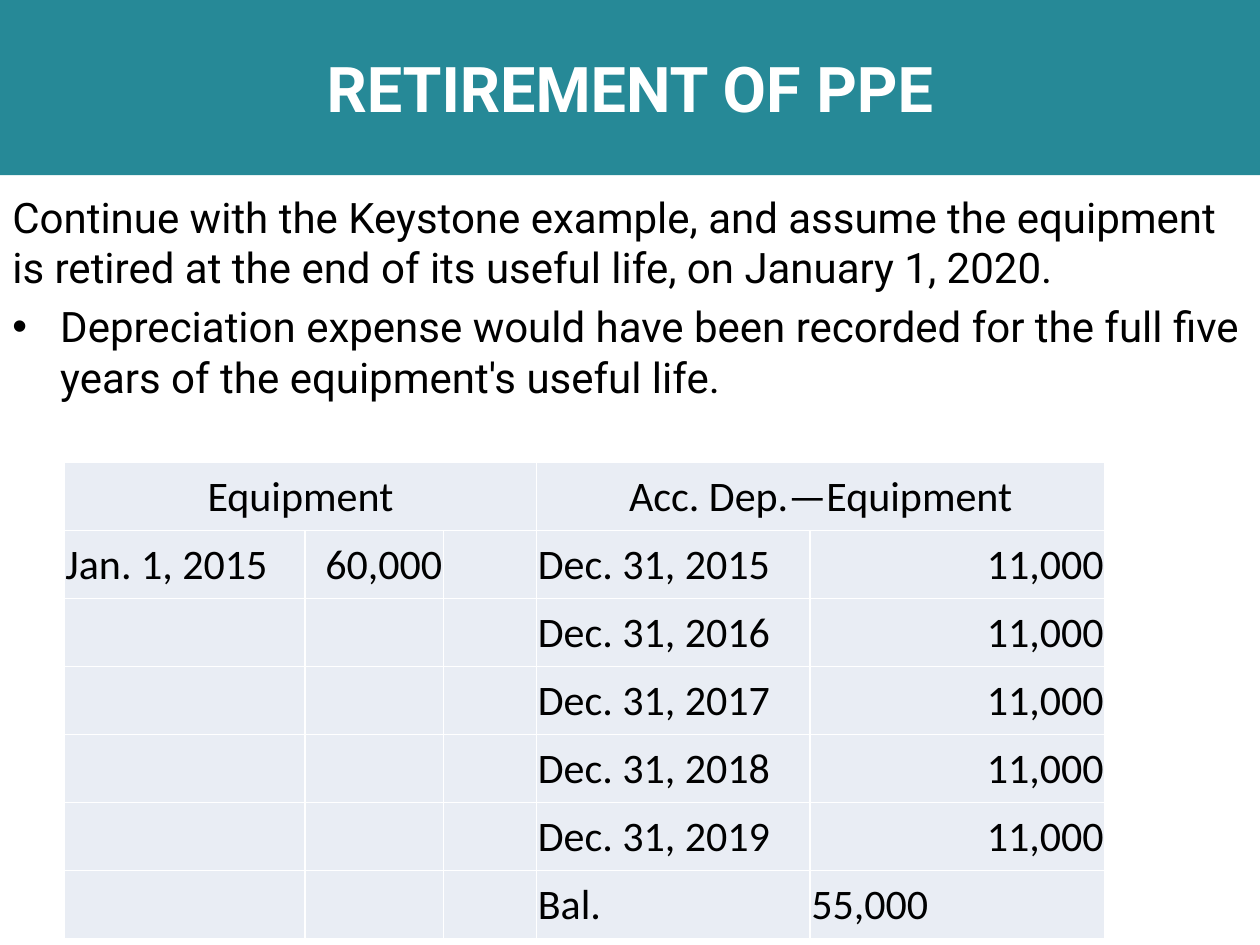
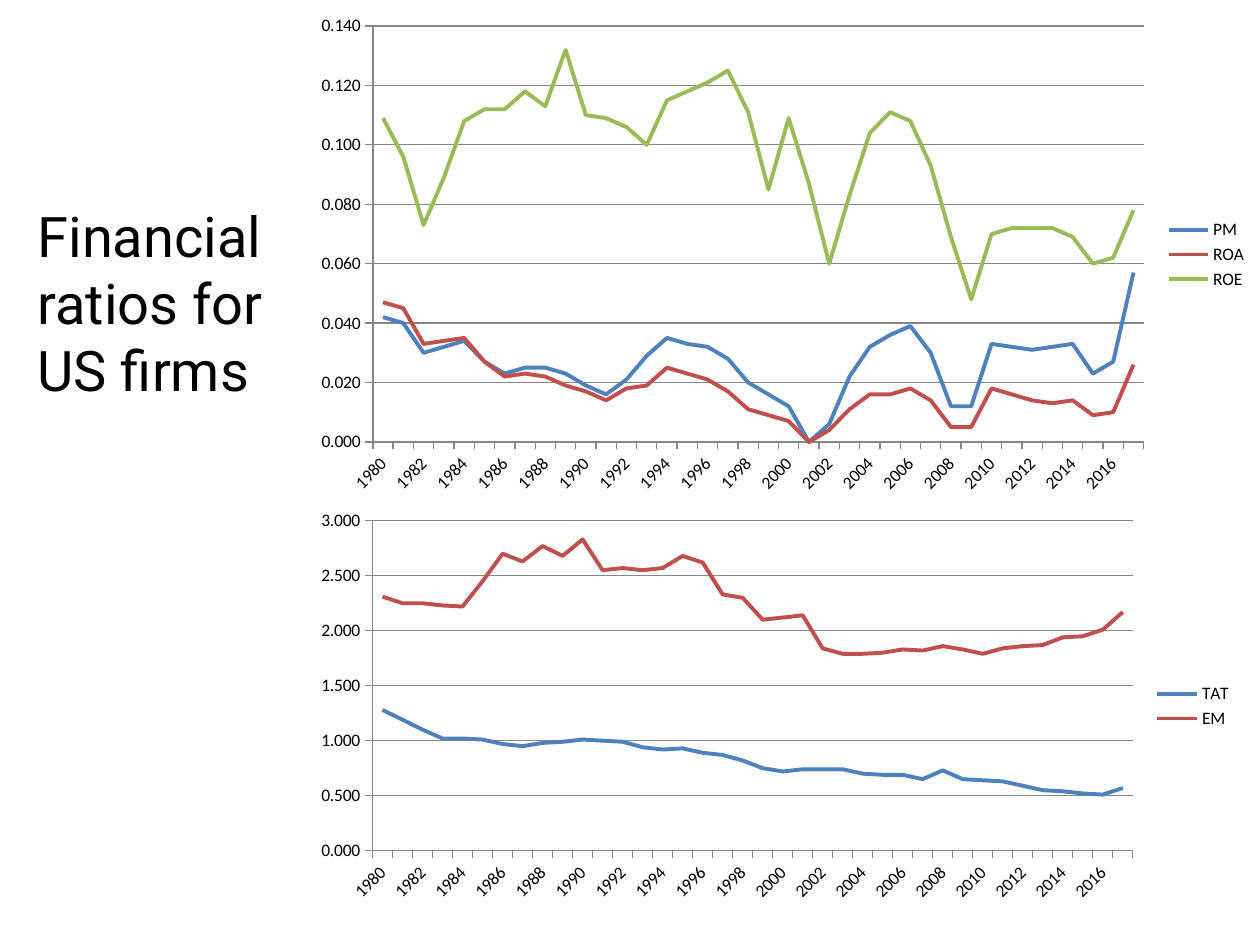
from dataclasses import dataclass
from lxml import etree
from pptx import Presentation
from pptx import util as u
from pptx.chart.data import CategoryChartData
from pptx.dml.color import RGBColor
from pptx.enum import chart as ch, shapes, text
from pptx.oxml.ns import qn


@dataclass(frozen=True)
class Theme:
    band: str = "268997"
    ink: str = "000000"
    paper: str = "FFFFFF"
    cell: str = "E9EDF4"
    axis: str = "868686"
    series: tuple = ("4F81BD", "C0504D", "9BBB59")
    head_font: str = "Roboto"
    data_font: str = "Calibri"
    title: int = 36
    caption: int = 32
    body: int = 24
    label: int = 10


T = Theme()
ALIGN = {"l": text.PP_ALIGN.LEFT, "c": text.PP_ALIGN.CENTER, "r": text.PP_ALIGN.RIGHT}
YEARS = [str(y) for y in range(1980, 2018)]

PROFIT = {
    "PM": [.042, .04, .03, .032, .034, .027, .023, .025, .025, .023, .019, .016, .021,
           .029, .035, .033, .032, .028, .02, .016, .012, 0, .006, .022, .032, .036,
           .039, .03, .012, .012, .033, .032, .031, .032, .033, .023, .027, .057],
    "ROA": [.047, .045, .033, .034, .035, .027, .022, .023, .022, .019, .017, .014, .018,
            .019, .025, .023, .021, .017, .011, .009, .007, 0, .004, .011, .016, .016,
            .018, .014, .005, .005, .018, .016, .014, .013, .014, .009, .01, .026],
    "ROE": [.109, .096, .073, .089, .108, .112, .112, .118, .113, .132, .11, .109, .106,
            .1, .115, .118, .121, .125, .111, .085, .109, .087, .06, .083, .104, .111,
            .108, .093, .069, .048, .07, .072, .072, .072, .069, .06, .062, .078],
}
LEVERAGE = {
    "TAT": [1.28, 1.19, 1.1, 1.02, 1.02, 1.01, .97, .95, .98, .99, 1.01, 1, .99,
            .94, .92, .93, .89, .87, .82, .75, .72, .74, .74, .74, .7, .69,
            .69, .65, .73, .65, .64, .63, .59, .55, .54, .52, .51, .57],
    "EM": [2.31, 2.25, 2.25, 2.23, 2.22, 2.45, 2.7, 2.63, 2.77, 2.68, 2.83, 2.55, 2.57,
           2.55, 2.57, 2.68, 2.62, 2.33, 2.3, 2.1, 2.12, 2.14, 1.84, 1.79, 1.79, 1.8,
           1.83, 1.82, 1.86, 1.83, 1.79, 1.84, 1.86, 1.87, 1.94, 1.95, 2.01, 2.17],
}


def inches(box):
    return [u.Inches(v) for v in box]


def set_font(font, size, name, color=T.ink, bold=False):
    for key, value in {"size": u.Pt(size), "name": name, "bold": bold}.items():
        setattr(font, key, value)
    font.color.rgb = RGBColor.from_string(color)


def paint(fill, color):
    fill.solid()
    fill.fore_color.rgb = RGBColor.from_string(color)


def rule(line, color, width):
    line.color.rgb = RGBColor.from_string(color)
    line.width = u.Pt(width)


def write(p, words, size, name, align="l", **font):
    p.alignment = ALIGN[align]
    r = p.add_run()
    r.text = words
    set_font(r.font, size, name, **font)


def title_band(s, box, words):
    sp = s.shapes.add_shape(shapes.MSO_SHAPE.RECTANGLE, *inches(box))
    sp.shadow.inherit = False
    paint(sp.fill, T.band)
    sp.line.fill.background()
    tf = sp.text_frame
    tf.vertical_anchor = text.MSO_ANCHOR.MIDDLE
    write(tf.paragraphs[0], words, T.title, T.head_font, "c", color=T.paper, bold=True)


def body_text(s, box, paragraphs, size):
    """Each paragraph is a pair: words, and whether it has a bullet."""
    tf = s.shapes.add_textbox(*inches(box)).text_frame
    tf.word_wrap = True
    for i, (words, bulleted) in enumerate(paragraphs):
        p = tf.add_paragraph() if i else tf.paragraphs[0]
        p.space_before = u.Pt(size * 0.2)
        write(p, words, size, T.head_font)
        if bulleted:
            pPr = p._p.get_or_add_pPr()
            pPr.set("marL", str(u.Inches(0.38)))
            pPr.set("indent", str(u.Inches(-0.38)))
            etree.SubElement(pPr, qn("a:buFont"), typeface="Arial")
            etree.SubElement(pPr, qn("a:buChar"), char="•")


def cell_borders(cell, color, width):
    tcPr = cell._tc.get_or_add_tcPr()
    for i, side in enumerate(("lnL", "lnR", "lnT", "lnB")):
        ln = etree.Element(qn(f"a:{side}"), w=str(u.Pt(width)))
        fill = etree.SubElement(ln, qn("a:solidFill"))
        etree.SubElement(fill, qn("a:srgbClr"), val=color)
        tcPr.insert(i, ln)


def ledger_table(s, box, widths, entries, spans):
    """Entries map (row, column) to words and alignment."""
    rows = 7
    table = s.shapes.add_table(rows, len(widths), *inches(box)).table
    for column, width in zip(table.columns, widths):
        column.width = u.Inches(width)
    for row in table.rows:
        row.height = u.Inches(box[3] / rows)
    for first, last in spans:
        table.cell(0, first).merge(table.cell(0, last))
    margins = dict(margin_left=0.01, margin_right=0.01, margin_top=0.01, margin_bottom=0)
    for r in range(rows):
        for c in range(len(widths)):
            cell = table.cell(r, c)
            paint(cell.fill, T.cell)
            cell_borders(cell, T.paper, 1)
            if (r, c) in entries:
                cell.vertical_anchor = text.MSO_ANCHOR.MIDDLE
                for key, value in margins.items():
                    setattr(cell, key, u.Inches(value))
                words, align = entries[r, c]
                write(cell.text_frame.paragraphs[0], words, T.body, T.data_font, align)


def ratio_chart(s, box, ratios, top, step):
    data = CategoryChartData(number_format="0.000")
    data.categories = YEARS
    for name, values in ratios.items():
        data.add_series(name, values)
    chart = s.shapes.add_chart(ch.XL_CHART_TYPE.LINE, *inches(box), data).chart
    set_font(chart.font, T.label, T.data_font)
    chart.has_title = False
    chart.has_legend = True
    chart.legend.position = ch.XL_LEGEND_POSITION.RIGHT
    chart.legend.include_in_layout = False

    # Axes
    years, values = chart.category_axis, chart.value_axis
    for axis in (years, values):
        axis.major_tick_mark = ch.XL_TICK_MARK.OUTSIDE
        axis.minor_tick_mark = ch.XL_TICK_MARK.NONE
        rule(axis.format.line, T.axis, 0.75)
    scale = dict(minimum_scale=0, maximum_scale=top, major_unit=step, has_major_gridlines=True)
    for key, value in scale.items():
        setattr(values, key, value)
    values.tick_labels.number_format = "0.000"
    values.tick_labels.number_format_is_linked = False
    rule(values.major_gridlines.format.line, T.axis, 0.75)

    # Slanted label on every second year
    set_font(years.tick_labels.font, T.label, T.data_font)
    years._element.find(qn("c:txPr")).find(qn("a:bodyPr")).set("rot", "-2700000")
    skip = etree.Element(qn("c:tickLblSkip"), val="2")
    years._element.find(qn("c:noMultiLvlLbl")).addprevious(skip)

    # Lines
    plot = chart.plots[0]
    plot.vary_by_categories = False
    for line, color in zip(plot.series, T.series):
        line.smooth = False
        line.marker.style = ch.XL_MARKER_STYLE.NONE
        rule(line.format.line, color, 2.25)


def retirement_slide(s):
    title_band(s, (0, 0, 10, 1.39), "RETIREMENT OF PPE")
    body_text(s, (0, 1.47, 10, 5.59), [
        ("Continue with the Keystone example, and assume the equipment is retired "
         "at the end of its useful life, on January 1, 2020.", False),
        ("Depreciation expense would have been recorded for the full five years "
         "of the equipment's useful life.", True),
    ], T.body)
    entries = {
        (0, 0): ("Equipment", "c"), (0, 3): ("Acc. Dep.—Equipment", "c"),
        (1, 0): ("Jan. 1, 2015", "l"), (1, 1): ("60,000", "r"),
        (6, 3): ("Bal.", "l"), (6, 4): ("55,000", "l"),
    }
    for row in range(1, 6):
        entries[row, 3] = (f"Dec. 31, {2014 + row}", "l")
        entries[row, 4] = ("11,000", "r")
    ledger_table(s, (0.51, 3.67, 8.26, 3.78), (1.91, 1.1, 0.74, 2.17, 2.34),
                 entries, spans=((0, 2), (3, 4)))


def ratios_slide(s):
    body_text(s, (0.2, 1.55, 2.2, 4.33), [("Financial ratios for US firms", False)], T.caption)
    ratio_chart(s, (2.4, 0.05, 7.6, 3.94), PROFIT, 0.14, 0.02)
    ratio_chart(s, (2.4, 3.99, 7.48, 3.23), LEVERAGE, 3, 0.5)


def main():
    prs = Presentation()
    prs.slide_width, prs.slide_height = inches((10, 7.5))
    for build in (retirement_slide, ratios_slide):
        build(prs.slides.add_slide(prs.slide_layouts[6]))
    prs.save("out.pptx")


if __name__ == "__main__":
    main()
